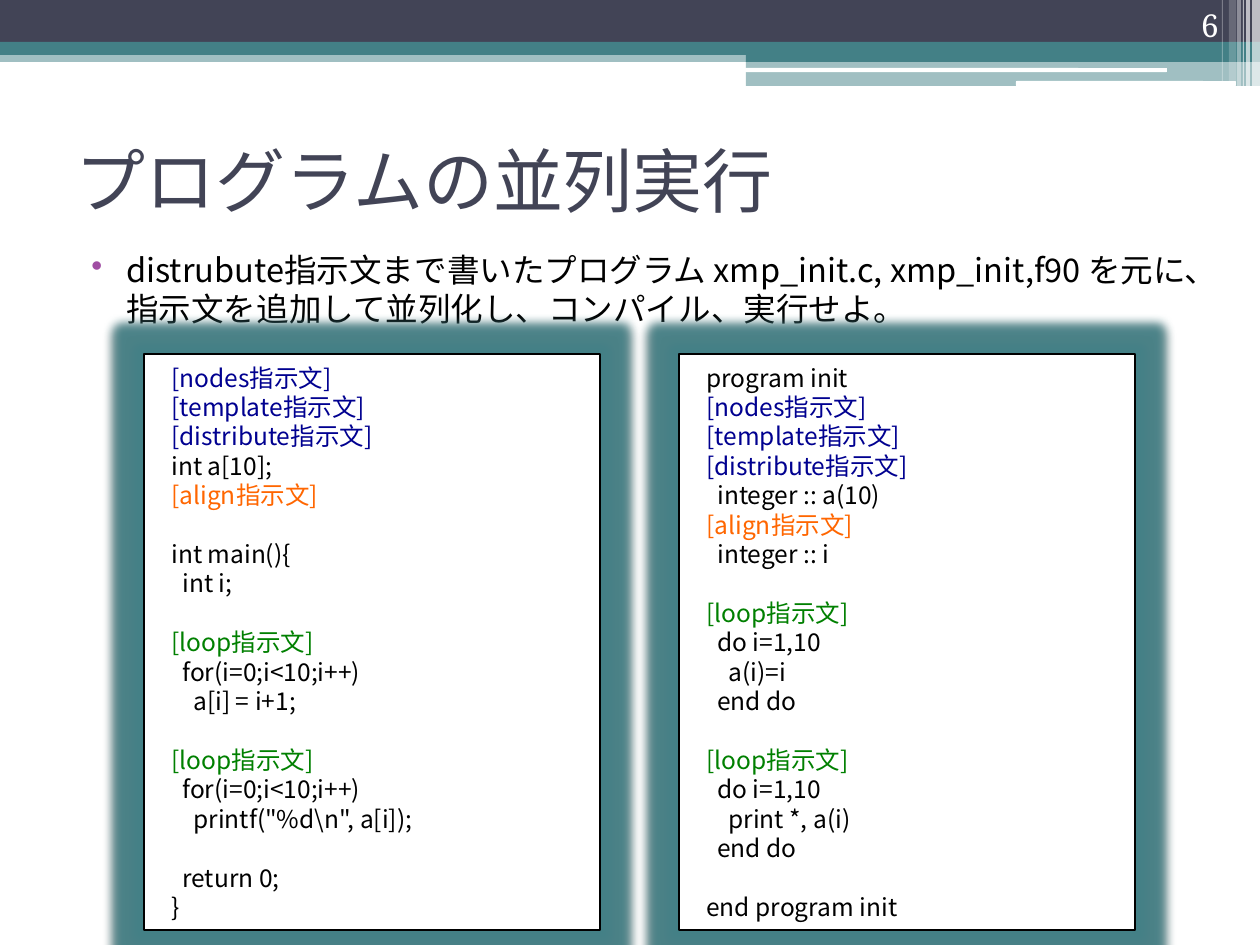
"""Build the slide on running a program in parallel."""
from typing import NamedTuple

from lxml import etree
from pptx import Presentation
from pptx.dml.color import RGBColor
from pptx.enum.shapes import MSO_SHAPE
from pptx.enum.text import MSO_ANCHOR, PP_ALIGN
from pptx.oxml.ns import qn
from pptx.util import Emu, Pt

RECT, ROUND = MSO_SHAPE.RECTANGLE, MSO_SHAPE.ROUNDED_RECTANGLE
TOP, MIDDLE, BOTTOM = MSO_ANCHOR.TOP, MSO_ANCHOR.MIDDLE, MSO_ANCHOR.BOTTOM
LEFT, RIGHT = PP_ALIGN.LEFT, PP_ALIGN.RIGHT
SCALE = 914400 / 126
SANS, OPEN, SERIF = "Noto Sans CJK JP", "Open Sans", "Noto Serif"
BLACK, WHITE, NAVY, TEAL = "000000", "FFFFFF", "424456", "438086"
BLUE, ORANGE, GREEN = "000090", "FF6600", "008000"
PITCH = 16.8


class Bar(NamedTuple):
    x: int
    y: int
    w: int
    h: int
    color: str
    alpha: int = 100
    kind: int = RECT


class Line(NamedTuple):
    text: str
    color: str = BLACK
    level: int = 0
    gap: bool = False


BARS = [
    Bar(0, 50, 1260, 12, TEAL, 50),
    Bar(0, 0, 1260, 42, NAVY),
    Bar(0, 42, 1260, 13, TEAL),
    Bar(746, 49, 514, 13, TEAL),
    Bar(746, 61, 514, 25, TEAL, 50),
    Bar(745, 68, 422, 4, WHITE, 100, ROUND),
    Bar(1016, 81, 220, 5, WHITE, 100, ROUND),
    Bar(1252, 0, 8, 86, WHITE, 65),
    Bar(1246, 0, 4, 86, WHITE, 65),
    Bar(1243, 0, 1, 86, WHITE, 60),
    Bar(1237, 0, 4, 86, WHITE, 40),
    Bar(1229, 0, 7, 81, WHITE, 20),
    Bar(1222, 0, 1, 81, WHITE, 30),
]
SETUP = [Line(f"[{name}指示文]", BLUE) for name in ("nodes", "template", "distribute")]
ALIGN = Line("[align指示文]", ORANGE)
LOOP = Line("[loop指示文]", GREEN, gap=True)
FOR = Line("for(i=0;i<10;i++)", level=1)
DO, END = Line("do i=1,10", level=1), Line("end do", level=1)
C_CODE = [
    *SETUP, Line("int a[10];"), ALIGN,
    Line("int main(){", gap=True), Line("int i;", level=1),
    LOOP, FOR, Line("a[i] = i+1;", level=2),
    LOOP, FOR, Line('printf("%d\\n", a[i]);', level=2),
    Line("return 0;", level=1, gap=True), Line("}"),
]
F_CODE = [
    Line("program init"), *SETUP, Line("integer :: a(10)", level=1),
    ALIGN, Line("integer :: i", level=1),
    LOOP, DO, Line("a(i)=i", level=2), END,
    LOOP, DO, Line("print *, a(i)", level=2), END,
    Line("end program init", gap=True),
]


def px(n: float) -> Emu:
    """Turn pixels into EMU."""
    return Emu(round(n * SCALE))


def rgb(color: str) -> RGBColor:
    """Turn a hex string into a colour."""
    return RGBColor.from_string(color)


def fade(node, alpha: int) -> None:
    """Give a colour element an opacity in percent."""
    etree.SubElement(node, qn("a:alpha")).set("val", str(alpha * 1000))


def draw_bar(slide, bar: Bar):
    """Draw a plain filled shape."""
    shape = slide.shapes.add_shape(bar.kind, *map(px, bar[:4]))
    shape.shadow.inherit = False
    shape.fill.solid()
    shape.fill.fore_color.rgb = rgb(bar.color)
    shape.line.fill.background()
    if bar.alpha < 100:
        fade(shape._element.spPr.find(".//" + qn("a:srgbClr")), bar.alpha)
    return shape


def set_frame(shape, anchor: int):
    """Set wrapping and anchor and return the text frame."""
    frame = shape.text_frame
    frame.word_wrap = True
    frame.vertical_anchor = anchor
    return frame


def add_run(para, text: str, size: float, color: str, font: str, align: int = LEFT) -> None:
    """Add one formatted run."""
    para.alignment = align
    run = para.add_run()
    run.text = text
    run.font.size = Pt(size)
    run.font.name = font
    run.font.color.rgb = rgb(color)
    east = etree.SubElement(run._r.get_or_add_rPr(), qn("a:ea"))
    east.set("typeface", SANS)


def add_effect(shape, tag: str, color: str, alpha: int, **attrs: int) -> None:
    """Add a glow or a shadow to a shape."""
    effects = shape._element.spPr.find(qn("a:effectLst"))
    node = etree.SubElement(effects, qn(tag), {k: str(v) for k, v in attrs.items()})
    tint = etree.SubElement(node, qn("a:srgbClr"), val=color)
    fade(tint, alpha)


def draw_code(slide, x: int, lines: list[Line]) -> None:
    """Draw a glowing panel of code."""
    panel = draw_bar(slide, Bar(x, 354, 456, 576, WHITE))
    panel.line.color.rgb = rgb(BLACK)
    panel.line.width = Pt(0.75)
    add_effect(panel, "a:glow", TEAL, 90, rad=Pt(11))
    add_effect(panel, "a:outerShdw", BLACK, 45,
               blurRad=Pt(4), dist=Pt(2), dir=5400000)
    frame = set_frame(panel, MIDDLE)
    for i, line in enumerate(lines):
        para = frame.add_paragraph() if i else frame.paragraphs[0]
        para.line_spacing = Pt(PITCH)
        para.space_before = Pt(PITCH if line.gap else 0)
        para._p.get_or_add_pPr().set("marL", str(px(15 + 11 * line.level)))
        add_run(para, line.text, 14, line.color, SANS)


def draw_body(slide) -> None:
    """Draw the bulleted task."""
    box = slide.shapes.add_textbox(px(64), px(244), px(1134), px(100))
    para = set_frame(box, TOP).paragraphs[0]
    para.line_spacing = Pt(22.3)
    para.space_before = Pt(3)
    props = para._p.get_or_add_pPr()
    props.set("marL", str(px(50)))
    props.set("indent", str(px(-35)))
    tint = etree.SubElement(props, qn("a:buClr"))
    etree.SubElement(tint, qn("a:srgbClr"), val="A04DA3")
    etree.SubElement(props, qn("a:buChar"), char="•")
    add_run(para, "distrubute指示文まで書いたプログラム xmp_init.c, xmp_init,f90 を元に、"
            "指示文を追加して並列化し、コンパイル、実行せよ。", 18.6, BLACK, SANS)


def main() -> None:
    """Build and save the slide."""
    deck = Presentation()
    deck.slide_width, deck.slide_height = px(1260), px(945)
    slide = deck.slides.add_slide(deck.slide_layouts[5])
    for bar in BARS:
        draw_bar(slide, bar)
    title = slide.shapes.title
    title.left, title.top, title.width, title.height = map(px, (63, 106, 1134, 147))
    para = set_frame(title, MIDDLE).paragraphs[0]
    add_run(para, "プログラムの並列実行", 40, NAVY, OPEN)
    draw_body(slide)
    for x, lines in ((144, C_CODE), (679, F_CODE)):
        draw_code(slide, x, lines)
    page = slide.shapes.add_textbox(px(1126), px(0), px(105), px(50))
    add_run(set_frame(page, BOTTOM).paragraphs[0], "6", 18, WHITE, SERIF, RIGHT)
    deck.save("out.pptx")


main()
